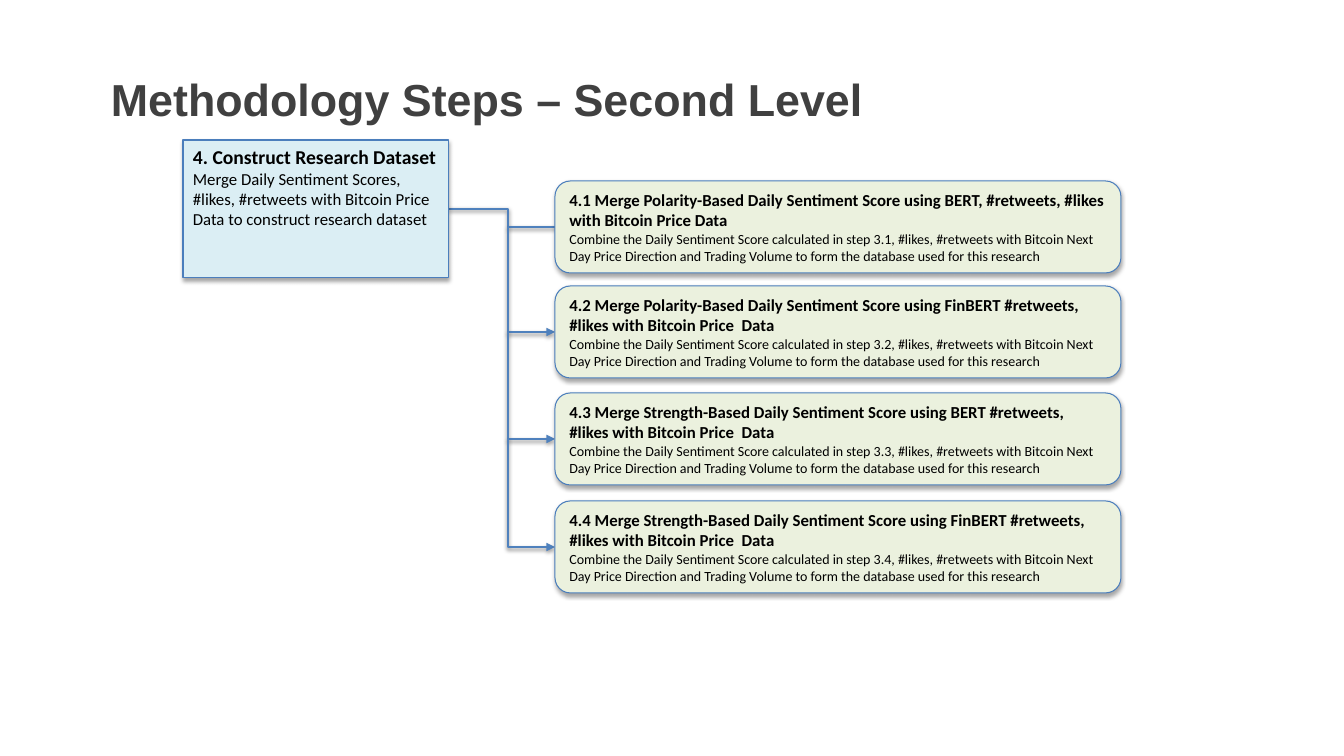
from lxml.etree import SubElement
from pptx import Presentation
from pptx.dml.color import RGBColor
from pptx.enum.shapes import MSO_CONNECTOR, MSO_SHAPE
from pptx.enum.text import MSO_ANCHOR, PP_ALIGN
from pptx.oxml.ns import qn
from pptx.util import Emu, Pt

SCALE = 914400 / 100.8
COLORS = {"title": "404040", "text": "000000", "parent": "DBEEF4",
          "step": "EBF1DE", "border": "4B7EBC", "arrow": "4F81BD"}
PARENT = (183, 140, 266, 138)
STEP_TOPS = (181, 286, 393, 501)
STEP_LEFT, STEP_W, STEP_H = 555, 566, 92
TRUNK = 508
STEPS = (
    ("Polarity", "BERT, #retweets, #likes with Bitcoin Price Data"),
    ("Polarity", "FinBERT #retweets, #likes with Bitcoin Price  Data"),
    ("Strength", "BERT #retweets, #likes with Bitcoin Price  Data"),
    ("Strength", "FinBERT #retweets, #likes with Bitcoin Price  Data"),
)


def px(n):
    return Emu(round(n * SCALE))


def rgb(name):
    return RGBColor.from_string(COLORS[name])


def add_shadow(sp, alpha, dist):
    effects = SubElement(sp._element.spPr, qn("a:effectLst"))
    shadow = SubElement(effects, qn("a:outerShdw"), blurRad=str(Pt(3.1)),
                        dist=str(Pt(dist)), dir="5400000", rotWithShape="0")
    color = SubElement(shadow, qn("a:srgbClr"), val="000000")
    SubElement(color, qn("a:alpha"), val=str(alpha * 1000))


def write(tf, lines, anchor):
    tf.word_wrap = True
    tf.vertical_anchor = anchor
    for i, (text, fmt) in enumerate(lines):
        p = tf.paragraphs[0] if i == 0 else tf.add_paragraph()
        p.alignment = PP_ALIGN.LEFT
        r = p.add_run()
        r.text = text
        fmt = {"name": "Calibri", "bold": False, "color": "text", **fmt}
        r.font.color.rgb = rgb(fmt.pop("color"))
        for key, value in fmt.items():
            setattr(r.font, key, value)


def add_title(s, box):
    sp = s.shapes.add_textbox(*map(px, box))
    fmt = {"name": "Arial", "size": Pt(32), "bold": True, "color": "title"}
    write(sp.text_frame, [("Methodology Steps – Second Level", fmt)], MSO_ANCHOR.TOP)


def add_box(s, box, kind, fill, heading, body, sizes, anchor):
    sp = s.shapes.add_shape(kind, *map(px, box))
    sp.fill.solid()
    sp.fill.fore_color.rgb = rgb(fill)
    sp.line.color.rgb = rgb("border")
    sp.line.width = Pt(0.75)
    add_shadow(sp, 35, 1.8)
    write(sp.text_frame, [(heading, {"size": Pt(sizes[0]), "bold": True}),
                          (body, {"size": Pt(sizes[1])})], anchor)


def add_elbow(s, start, end, bend):
    """Elbow arrow that turns at the given percentage of its width."""
    c = s.shapes.add_connector(MSO_CONNECTOR.ELBOW, *map(px, start + end))
    c.line.color.rgb = rgb("arrow")
    c.line.width = Pt(2)
    SubElement(c.line._get_or_add_ln(), qn("a:tailEnd"), type="triangle")
    guides = c._element.spPr.prstGeom.get_or_add_avLst()
    SubElement(guides, qn("a:gd"), name="adj1", fmla=f"val {bend * 1000}")
    add_shadow(c, 38, 1.6)


def add_arrows(s, parent):
    x, y, w, h = parent
    middles = [top + STEP_H // 2 for top in STEP_TOPS]
    add_elbow(s, (x + w, y + h // 2), (STEP_LEFT + 12, middles[0]), 50)
    for above, below in zip(middles, middles[1:]):
        add_elbow(s, (TRUNK, above), (STEP_LEFT, below), 0)


def add_steps(s):
    for n, (top, (base, inputs)) in enumerate(zip(STEP_TOPS, STEPS), 1):
        add_box(s, (STEP_LEFT, top, STEP_W, STEP_H), MSO_SHAPE.ROUNDED_RECTANGLE, "step",
                f"4.{n} Merge {base}-Based Daily Sentiment Score using {inputs}",
                f"Combine the Daily Sentiment Score calculated in step 3.{n}, #likes, "
                "#retweets with Bitcoin Next Day Price Direction and Trading Volume "
                "to form the database used for this research",
                (12, 10), MSO_ANCHOR.MIDDLE)


def main():
    prs = Presentation()
    prs.slide_width, prs.slide_height = px(1344), px(756)
    s = prs.slides.add_slide(prs.slide_layouts[6])
    add_title(s, (101, 67, 1140, 62))
    # Arrows lie behind the boxes
    add_arrows(s, PARENT)
    add_box(s, PARENT, MSO_SHAPE.RECTANGLE, "parent", "4. Construct Research Dataset",
            "Merge Daily Sentiment Scores, #likes, #retweets with Bitcoin Price Data "
            "to construct research dataset", (14, 12), MSO_ANCHOR.TOP)
    add_steps(s)
    prs.save("out.pptx")


if __name__ == "__main__":
    main()
